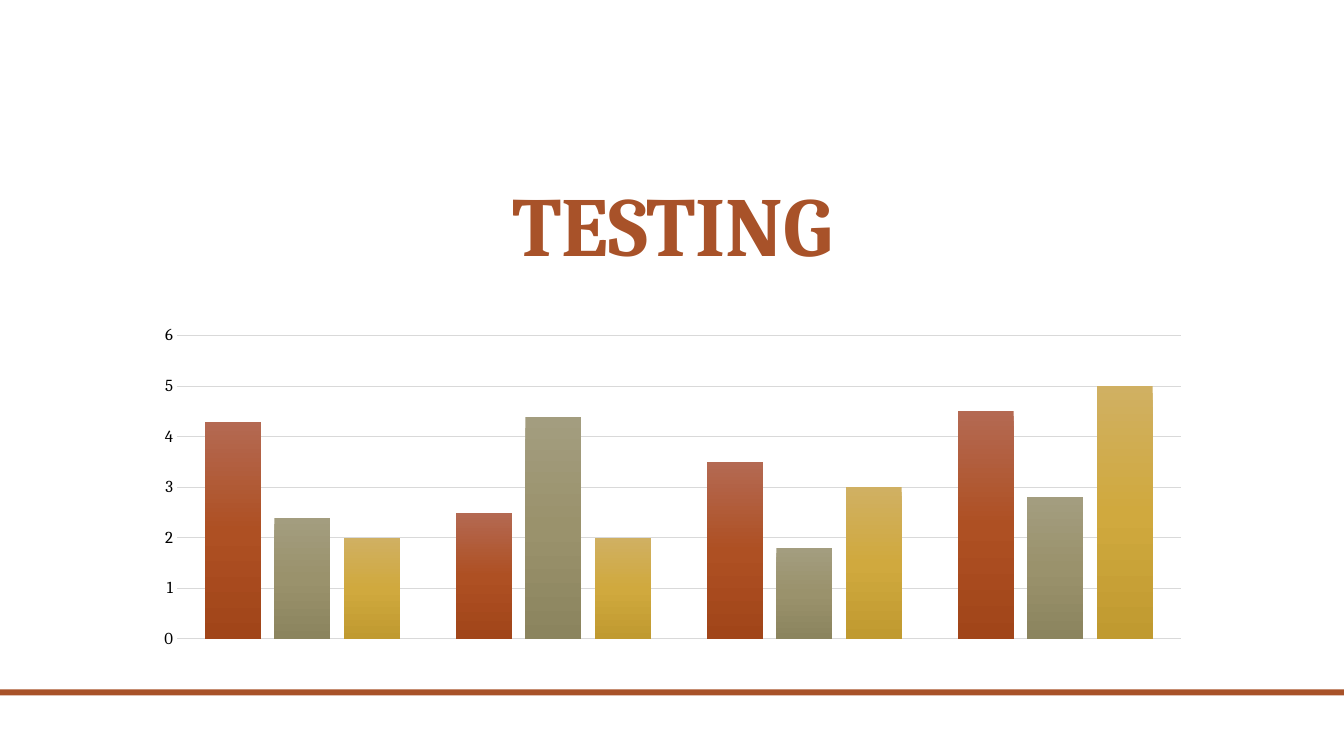
from pptx import Presentation
from pptx.chart.data import CategoryChartData
from pptx.dml.color import RGBColor
from pptx.enum.chart import XL_CHART_TYPE, XL_TICK_MARK
from pptx.enum.shapes import MSO_SHAPE
from pptx.enum.text import MSO_ANCHOR, PP_ALIGN
from pptx.oxml import parse_xml
from pptx.oxml.ns import nsdecls
from pptx.util import Inches, Pt

TITLE = "TESTING"
CATEGORIES = ["1", "2", "3", "4"]
SERIES = {
    "Series 1": (4.3, 2.5, 3.5, 4.5),
    "Series 2": (2.4, 4.4, 1.8, 2.8),
    "Series 3": (2, 2, 3, 5),
}
THEME = {
    "font": "Cambria",
    "accent": "A85229",
    "chart_text": "514A40",
    "axis_text": "000000",
    "grid": "D9D9D9",
    "title_size": 60,
    "chart_size": 10,
    "axis_size": 12,
    "gradients": [
        ("B46952", "AE5023", "A14519"),
        ("A39D7F", "9A926C", "8B845E"),
        ("D0B062", "D0A93E", "C09A30"),
    ],
}
SLIDE_WIDTH, SLIDE_HEIGHT = 13.33, 7.5
CONTENT_WIDTH = 10.5
CONTENT_LEFT = 1.42


def style_font(font, size, color, bold=False):
    font.name = THEME["font"]
    font.size = Pt(size)
    font.bold = bold
    font.color.rgb = RGBColor.from_string(color)


def write_text(frame, text, *, size, color, bold, align, anchor, spacing):
    frame.word_wrap = True
    frame.vertical_anchor = anchor
    para = frame.paragraphs[0]
    para.alignment = align
    para.line_spacing = spacing
    span = para.add_run()
    span.text = text
    style_font(span.font, size, color, bold)


def fill_gradient(series, colors):
    stops = "".join(
        f'<a:gs pos="{index * 50000}"><a:srgbClr val="{color}"/></a:gs>'
        for index, color in enumerate(colors)
    )
    gradient = parse_xml(
        f'<a:gradFill {nsdecls("a")} rotWithShape="1"><a:gsLst>{stops}</a:gsLst>'
        '<a:lin ang="5400000" scaled="0"/></a:gradFill>'
    )
    series._element.get_or_add_spPr().append(gradient)


def add_column_chart(page):
    data = CategoryChartData()
    data.categories = CATEGORIES
    for name, values in SERIES.items():
        data.add_series(name, values)
    chart = page.shapes.add_chart(
        XL_CHART_TYPE.COLUMN_CLUSTERED, Inches(CONTENT_LEFT), Inches(3.17),
        Inches(CONTENT_WIDTH), Inches(3.33), data,
    ).chart
    chart.has_title = False
    chart.has_legend = False
    style_font(chart.font, THEME["chart_size"], THEME["chart_text"])
    chart.category_axis.visible = False

    axis = chart.value_axis
    axis.minimum_scale, axis.maximum_scale, axis.major_unit = 0, 6, 1
    axis.major_tick_mark = axis.minor_tick_mark = XL_TICK_MARK.NONE
    axis.format.line.fill.background()
    style_font(axis.tick_labels.font, THEME["axis_size"], THEME["axis_text"])
    grid = axis.major_gridlines.format.line
    grid.width = Pt(0.75)
    grid.color.rgb = RGBColor.from_string(THEME["grid"])

    plot = chart.plots[0]
    plot.vary_by_categories = False
    plot.gap_width = 100
    plot.overlap = -24
    for series, colors in zip(plot.series, THEME["gradients"]):
        fill_gradient(series, colors)


def main():
    """Build the testing slide with its title, chart and footer band."""
    deck = Presentation()
    deck.slide_width, deck.slide_height = Inches(SLIDE_WIDTH), Inches(SLIDE_HEIGHT)
    page = deck.slides.add_slide(deck.slide_layouts.get_by_name("Title Only"))

    band = page.shapes.add_shape(
        MSO_SHAPE.RECTANGLE, 0, Inches(6.84), deck.slide_width, Inches(0.06)
    )
    band.shadow.inherit = False
    band.fill.solid()
    band.fill.fore_color.rgb = RGBColor.from_string(THEME["accent"])
    band.line.fill.background()

    title = page.shapes.title
    title.left, title.top = Inches(CONTENT_LEFT), Inches(1.52)
    title.width, title.height = Inches(CONTENT_WIDTH), Inches(1.25)
    write_text(
        title.text_frame, TITLE, size=THEME["title_size"], color=THEME["accent"],
        bold=True, align=PP_ALIGN.CENTER, anchor=MSO_ANCHOR.BOTTOM, spacing=0.9,
    )
    add_column_chart(page)
    deck.save("out.pptx")


if __name__ == "__main__":
    main()
